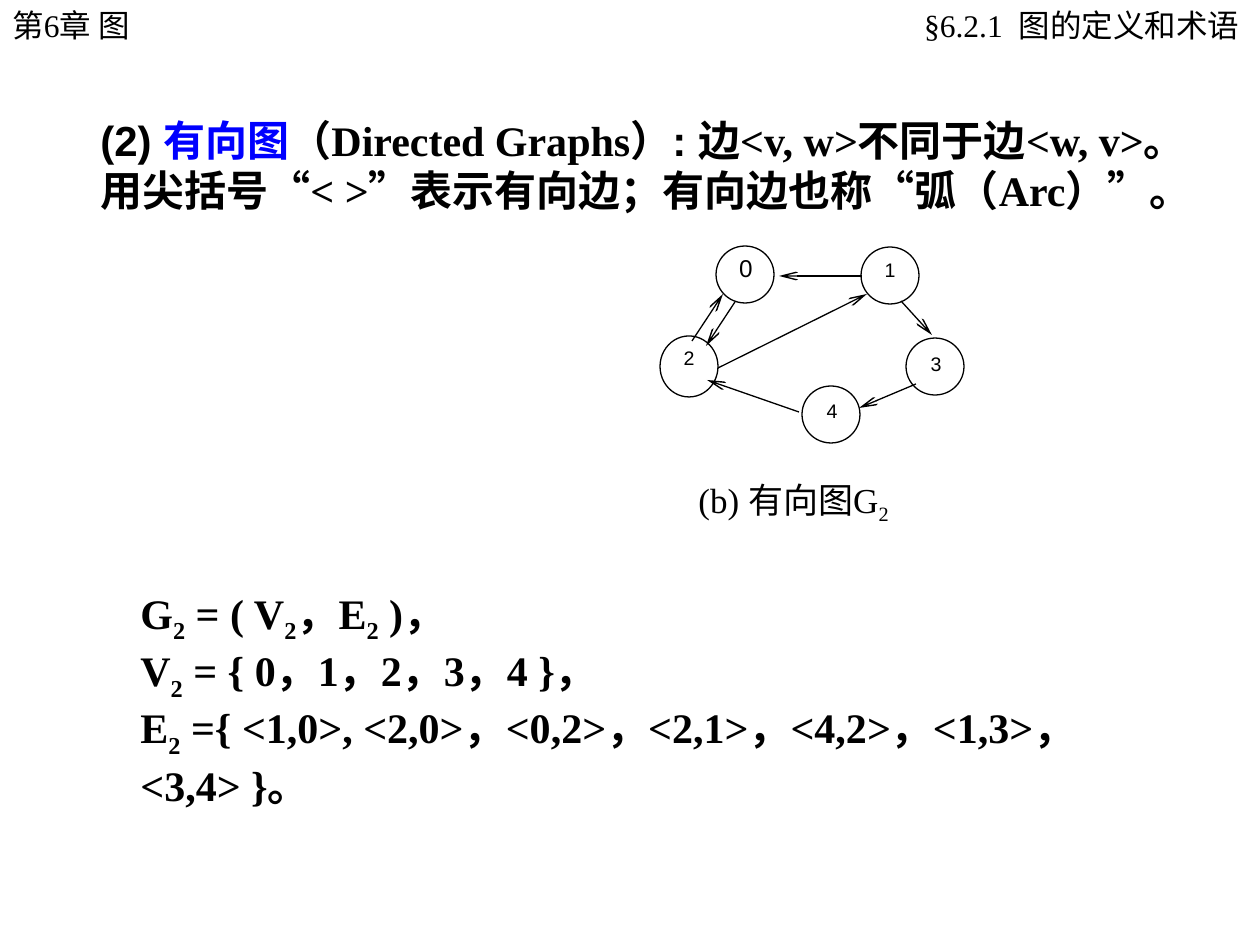
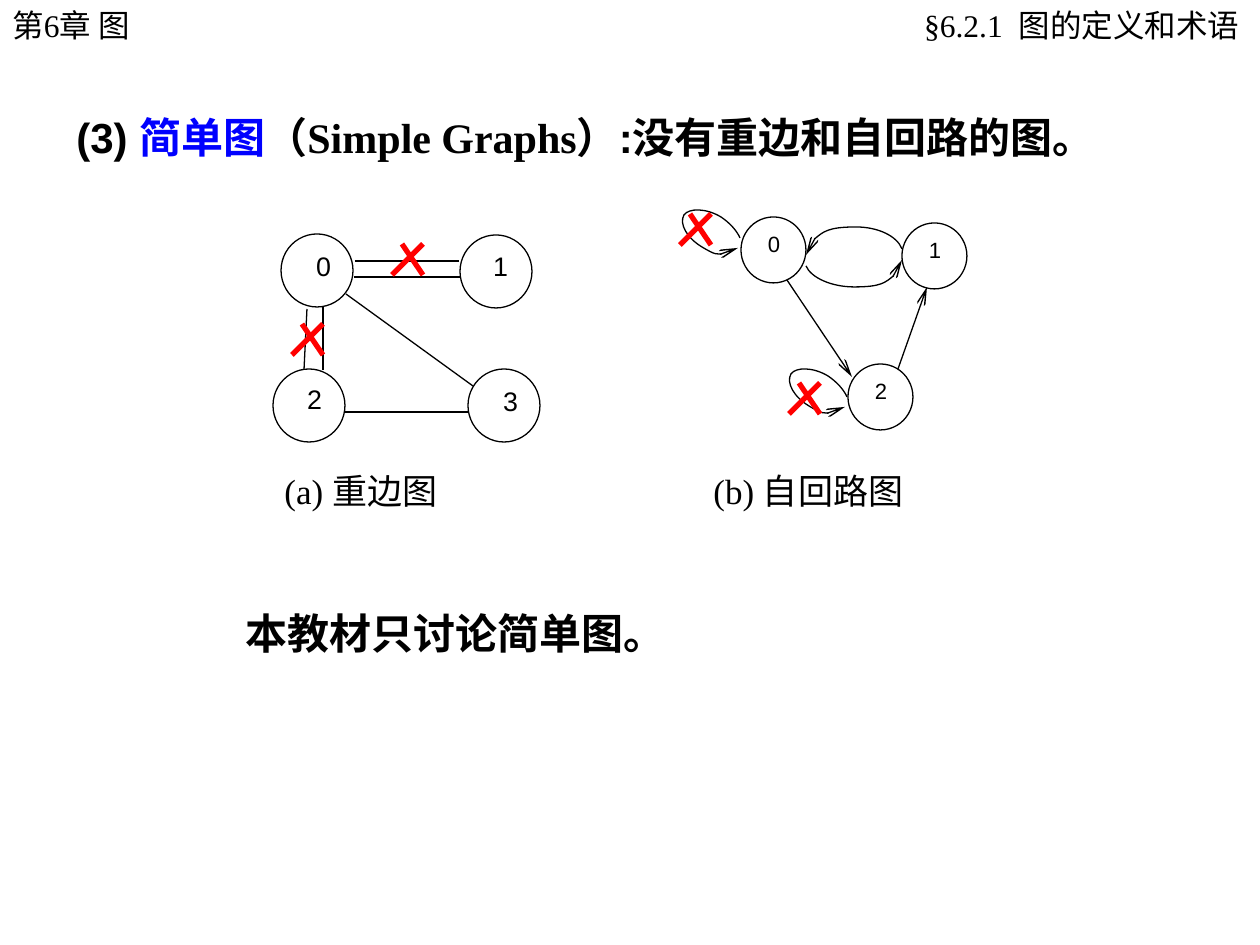
from pptx import Presentation
from pptx import util as u
from pptx.dml import color
from pptx.enum import shapes, text
from pptx.oxml import ns, xmlchemy

SCALE = u.Inches(1) / 126
INK = {"black": "000000", "blue": "0000FF", "red": "FF0000", "white": "FFFFFF"}
SERIF, SANS = "Times New Roman", "Arial"


def px(*nums):
    return [u.Emu(round(n * SCALE)) for n in nums]


def rgb(name):
    return color.RGBColor.from_string(INK[name])


def add_run(para, words, size, font=SERIF, ink="black", bold=False, sub=False):
    run = para.add_run()
    run.text = words
    run.font.size = u.Pt(size)
    run.font.name = font
    run.font.bold = bold
    run.font.color.rgb = rgb(ink)
    if sub:
        run.font._element.set("baseline", "-25000")


def add_math(para, words, size, bold=False):
    first, *rest = words.split("_")
    add_run(para, first, size, bold=bold)
    for part in rest:
        add_run(para, part[0], size, bold=bold, sub=True)
        if part[1:]:
            add_run(para, part[1:], size, bold=bold)


def add_box(slide, box):
    frame = slide.shapes.add_textbox(*px(*box)).text_frame
    frame.word_wrap = True
    return frame


def header(slide):
    add_run(add_box(slide, (0, 0, 219, 50)).paragraphs[0], "第6章 图", 18)
    frame = add_box(slide, (876, 0, 383, 50))
    frame.margin_left, frame.margin_right = px(15, 20)
    para = frame.paragraphs[0]
    para.alignment = text.PP_ALIGN.RIGHT
    add_run(para, "§6.2.1  图的定义和术语", 18)


def heading(slide, box, runs):
    para = add_box(slide, box).paragraphs[0]
    for words, font, ink in runs:
        add_run(para, words, 24, font, ink, True)


def caption(slide, box, words, indent=0, stop=0):
    para = add_box(slide, box).paragraphs[0]
    props = para._p.get_or_add_pPr()
    if indent:
        props.set("marL", str(px(indent)[0]))
        props.set("indent", "0")
    if stop:
        tabs = xmlchemy.OxmlElement("a:tabLst")
        tab = xmlchemy.OxmlElement("a:tab")
        tab.set("pos", str(px(stop)[0]))
        tab.set("algn", "l")
        tabs.append(tab)
        props.append(tabs)
    add_math(para, words, 20)


def formulas(slide, box, lines):
    frame = add_box(slide, box)
    for i, line in enumerate(lines):
        para = frame.add_paragraph() if i else frame.paragraphs[0]
        add_math(para, line, 24, True)


def stroke(shape, ink="black", width=0.75, arrow=False):
    shape.line.color.rgb = rgb(ink)
    shape.line.width = u.Pt(width)
    if arrow:
        tail = xmlchemy.OxmlElement("a:tailEnd")
        for key, value in (("type", "arrow"), ("w", "sm"), ("len", "lg")):
            tail.set(key, value)
        shape.element.spPr.find(ns.qn("a:ln")).append(tail)


def link(slide, x, y, ends, **look):
    x1, y1, x2, y2 = ends
    line = slide.shapes.add_connector(
        shapes.MSO_CONNECTOR.STRAIGHT, *px(x + x1, y + y1, x + x2, y + y2))
    stroke(line, **look)
    line.element.spPr.append(xmlchemy.OxmlElement("a:effectLst"))


def white(slide, kind, box):
    shape = slide.shapes.add_shape(kind, *px(*box))
    shape.shadow.inherit = False
    shape.fill.solid()
    shape.fill.fore_color.rgb = rgb("white")
    return shape


def node(slide, box, label, inner, size, space):
    stroke(white(slide, shapes.MSO_SHAPE.OVAL, box))
    dx, dy, w, h = inner
    tag = white(slide, shapes.MSO_SHAPE.RECTANGLE,
                (box[0] + dx, box[1] + dy, w, h))
    tag.line.fill.background()
    frame = tag.text_frame
    frame.margin_left = frame.margin_right = 0
    frame.margin_top = frame.margin_bottom = 0
    frame.vertical_anchor = text.MSO_ANCHOR.TOP
    para = frame.paragraphs[0]
    para.alignment = text.PP_ALIGN.CENTER
    para.line_spacing = space
    add_run(para, label, size, SANS)


def curve(slide, x, y, ctrl):
    dots = [px(x + a, y + b) for a, b in ctrl]
    form = slide.shapes.build_freeform(*dots[0], scale=1.0)
    form.add_line_segments(dots[1:], close=False)
    shape = form.convert_to_shape()
    legs = list(shape.element.spPr.iter(ns.qn("a:lnTo")))
    for i in range(0, len(legs), 3):
        bend = xmlchemy.OxmlElement("a:cubicBezTo")
        legs[i].addprevious(bend)
        for leg in legs[i:i + 3]:
            bend.append(leg[0])
            leg.getparent().remove(leg)
    shape.shadow.inherit = False
    shape.fill.background()
    stroke(shape, arrow=True)


def cross(slide, x, y):
    for ends in ((10, 0, 31, 31), (31, 0, 0, 31)):
        link(slide, x, y, ends, ink="red", width=3)


def digraph(slide, x, y):
    nodes = (("0", 57, 0, 57, 18, 13, 13.9), ("1", 202, 1, 57, 17, 16, 11.2),
             ("2", 1, 90, 61, 17, 14, 11.2), ("3", 247, 92, 57, 18, 18, 11.2),
             ("4", 143, 140, 57, 18, 18, 11.2))
    for label, nx, ny, h, dx, dy, size in nodes:
        node(slide, (x + nx, y + ny, 58, h), label, (dx, dy, 24, 24), size, 0.8)
    for ends in ((76, 56, 47, 100), (242, 55, 273, 89), (257, 138, 200, 162),
                 (59, 122, 208, 48), (140, 166, 48, 134), (33, 95, 64, 48),
                 (203, 30, 120, 30)):
        link(slide, x, y, ends, arrow=True)


def multi(slide, x, y):
    nodes = (("0", 9, 0, 28, 19), ("1", 188, 1, 26, 18),
             ("2", 1, 135, 27, 17), ("3", 196, 135, 28, 19))
    for label, nx, ny, dx, dy in nodes:
        node(slide, (x + nx, y + ny, 72, 73), label, (dx, dy, 29, 31), 15.3, 0.9)
    for ends in ((51, 73, 51, 136), (35, 75, 32, 136), (83, 27, 187, 27),
                 (189, 43, 82, 43), (74, 60, 201, 152), (197, 178, 73, 178)):
        link(slide, x, y, ends)
    for cx, cy in ((120, 10), (20, 90)):
        cross(slide, x + cx, y + cy)


def loops(slide, x, y):
    for label, nx, ny in (("0", 61, 9), ("1", 222, 15), ("2", 168, 156)):
        node(slide, (x + nx, y + ny, 65, 66), label, (20, 19, 26, 28), 12.6, 0.8)
    for ends in ((107, 72, 172, 169), (218, 161, 247, 79)):
        link(slide, x, y, ends, arrow=True)
    curve(slide, x, y, ((126, 58), (131, 70), (152, 79), (174, 79),
                        (201, 79), (222, 68), (222, 52)))
    curve(slide, x, y, ((222, 41), (217, 28), (198, 19), (176, 19),
                        (148, 19), (126, 31), (126, 47)))
    ring = ((60, 30), (57, 23), (50, 15), (41, 9), (26, 0), (9, 0), (4, 7),
            (-1, 16), (7, 30), (22, 39), (37, 48), (53, 49), (58, 40))
    for dx, dy in ((0, 0), (107, 159)):
        curve(slide, x + dx, y + dy, ring)
    for cx, cy in ((0, 6), (109, 175)):
        cross(slide, x + cx, y + cy)


def directed(slide):
    header(slide)
    heading(slide, (88, 108, 1152, 164), (
        ("(2) ", SANS, "black"), ("有向图", SERIF, "blue"),
        ("（Directed Graphs）", SERIF, "black"), (": ", SANS, "black"),
        ("边<v, w>不同于边<w, v>。用尖括号“< >”表示有向边；"
         "有向边也称“弧（Arc）”。", SERIF, "black")))
    digraph(slide, 659, 246)
    caption(slide, (659, 472, 338, 60), "(b) 有向图G_2", indent=27)
    formulas(slide, (128, 581, 1092, 236), (
        "G_2 = ( V_2，E_2 )，",
        "V_2 = { 0，1，2，3，4 }，",
        "E_2 ={ <1,0>, <2,0>，<0,2>，<2,1>，<4,2>，<1,3>，<3,4> }。"))


def simple(slide):
    header(slide)
    heading(slide, (64, 105, 1152, 63), (
        ("(3) ", SANS, "black"), ("简单图", SERIF, "blue"),
        ("（Simple Graphs）", SERIF, "black"),
        (":没有重边和自回路的图", SANS, "black"), ("。", SERIF, "black")))
    multi(slide, 272, 234)
    loops(slide, 680, 208)
    caption(slide, (272, 463, 822, 55), "(a) 重边图\t(b) 自回路图", stop=429)
    heading(slide, (233, 601, 466, 63), (
        ("本教材只讨论简单图", SANS, "black"), ("。", SERIF, "black")))


def main():
    deck = Presentation()
    deck.slide_width, deck.slide_height = px(1260, 945)
    for build in (directed, simple):
        build(deck.slides.add_slide(deck.slide_layouts[6]))
    deck.save("out.pptx")


if __name__ == "__main__":
    main()
